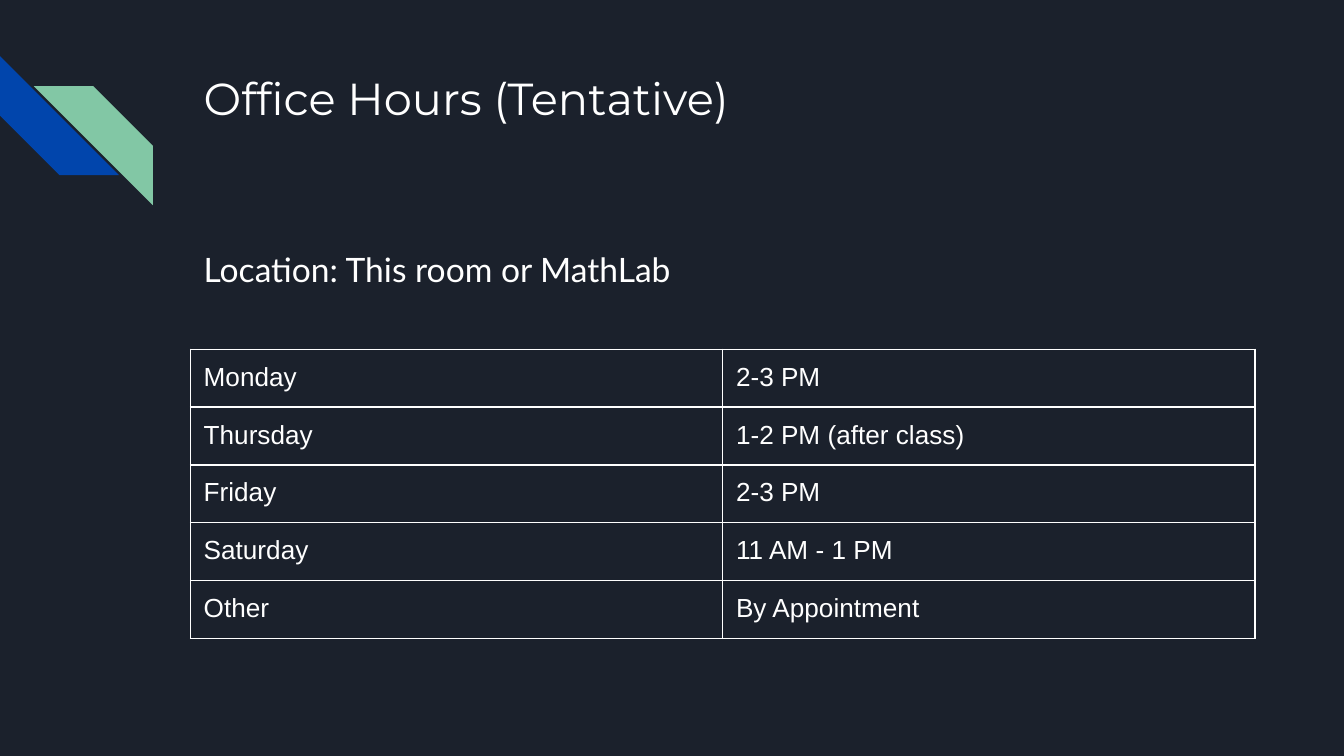
from lxml.etree import SubElement
from pptx import Presentation
from pptx.dml.color import RGBColor
from pptx.enum.shapes import MSO_SHAPE
from pptx.oxml.ns import qn
from pptx.util import Cm, Pt

BACKGROUND = "1B212C"
WHITE = "FFFFFF"
BLUE = "0145AC"
GREEN = "82C7A5"
LEFT = 3.6
INSET = Cm(0.25)
OFFICE_HOURS = [
    ("Monday", "2-3 PM"),
    ("Thursday", "1-2 PM (after class)"),
    ("Friday", "2-3 PM"),
    ("Saturday", "11 AM - 1 PM"),
    ("Other", "By Appointment"),
]


def set_fill(fill, color):
    fill.solid()
    fill.fore_color.rgb = RGBColor.from_string(color)


def style_paragraph(paragraph, text, font_name, size):
    paragraph.text = text
    paragraph.font.name = font_name
    paragraph.font.size = Pt(size)
    set_fill(paragraph.font.fill, WHITE)


def set_margins(box):
    box.margin_left = box.margin_right = INSET
    box.margin_top = box.margin_bottom = INSET


def add_stripe(slide, left, top, rotation, color):
    shape = slide.shapes.add_shape(
        MSO_SHAPE.DIAGONAL_STRIPE, Cm(left), Cm(top), Cm(2.25), Cm(2.25))
    shape.rotation = rotation
    shape.shadow.inherit = False
    shape.line.fill.background()
    set_fill(shape.fill, color)


def add_text(slide, top, height, text, font_name, size, line_spacing=1.0):
    shape = slide.shapes.add_textbox(Cm(LEFT), Cm(top), Cm(19.56), Cm(height))
    frame = shape.text_frame
    frame.word_wrap = True
    set_margins(frame)
    paragraph = frame.paragraphs[0]
    style_paragraph(paragraph, text, font_name, size)
    paragraph.line_spacing = line_spacing


def add_borders(cell, color, width):
    properties = cell._tc.get_or_add_tcPr()
    for side in ("lnL", "lnR", "lnT", "lnB"):
        line = SubElement(properties, qn(f"a:{side}"), w=str(Pt(width)))
        fill = SubElement(line, qn("a:solidFill"))
        SubElement(fill, qn("a:srgbClr"), val=color)


def add_hours_table(slide, rows):
    column_count = len(rows[0])
    table = slide.shapes.add_table(
        len(rows), column_count, Cm(LEFT), Cm(6.6),
        Cm(10.06 * column_count), Cm(1.06 * len(rows))).table
    table.first_row = False
    table.horz_banding = False
    for row_index, row in enumerate(rows):
        for column_index, text in enumerate(row):
            cell = table.cell(row_index, column_index)
            set_margins(cell)
            style_paragraph(cell.text_frame.paragraphs[0], text, "Arial", 14)
            add_borders(cell, WHITE, 0.75)
            cell.fill.background()


def main():
    presentation = Presentation()
    presentation.slide_width = Cm(25.4)
    presentation.slide_height = Cm(14.29)
    slide = presentation.slides.add_slide(presentation.slide_layouts[6])
    set_fill(slide.background.fill, BACKGROUND)

    add_stripe(slide, 0, 1.06, 270, BLUE)
    add_stripe(slide, 0.64, 1.63, 90, GREEN)
    add_text(slide, 1.09, 2.54, "Office Hours (Tentative)", "Montserrat", 24)
    add_text(slide, 4.34, 8.08, "Location: This room or MathLab", "Lato", 18, 1.15)
    add_hours_table(slide, OFFICE_HOURS)

    presentation.save("out.pptx")


if __name__ == "__main__":
    main()
